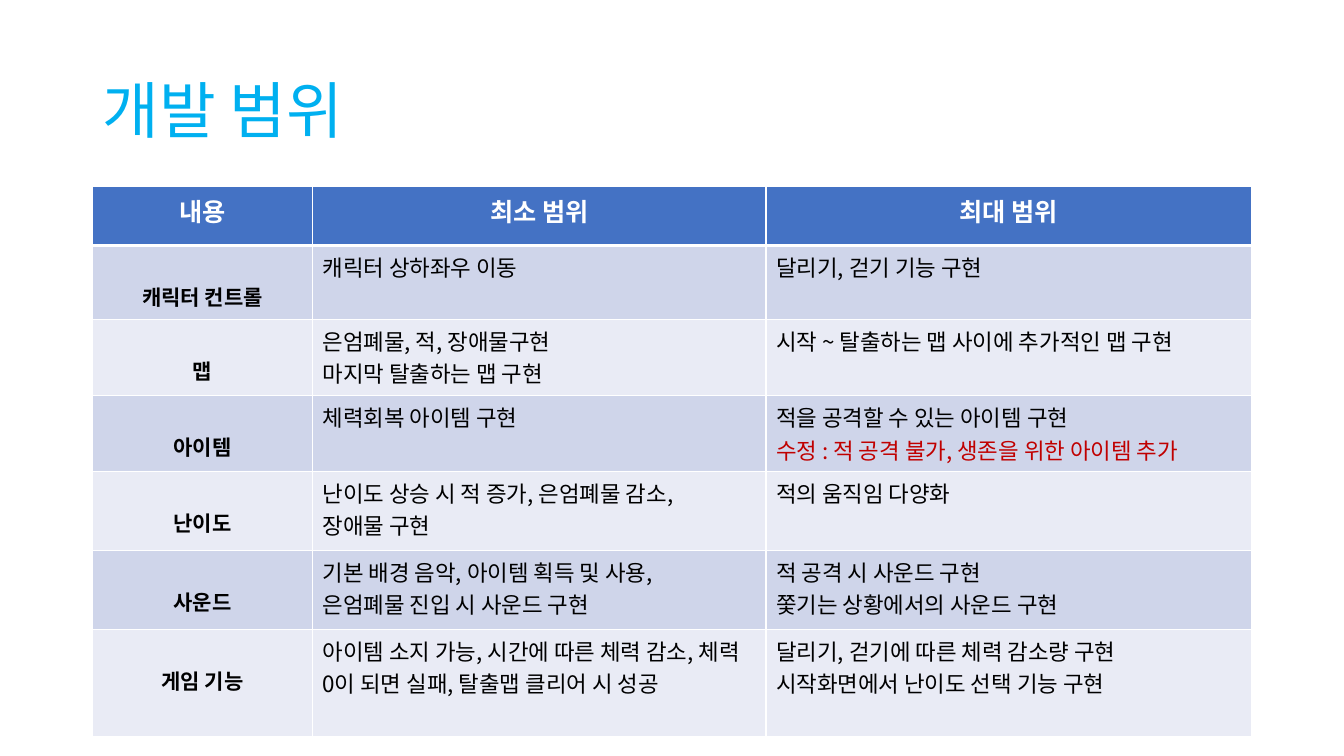
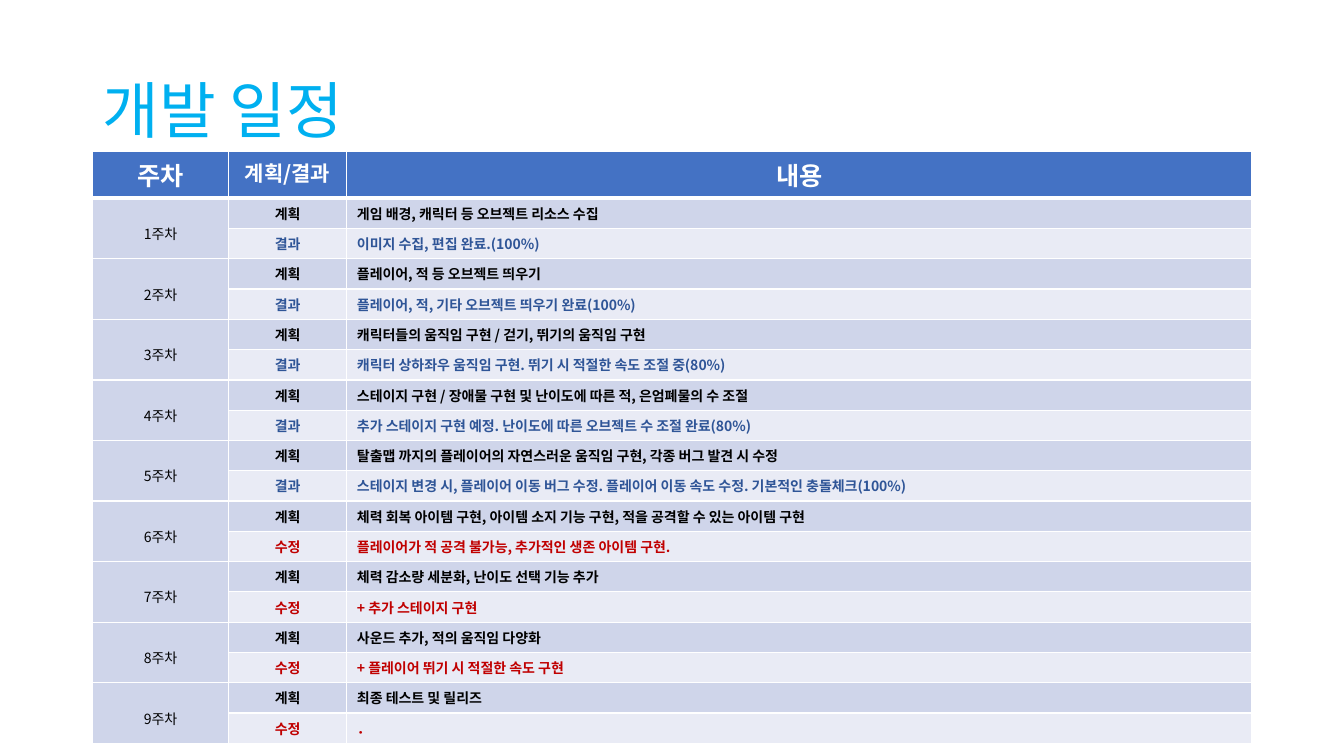
from dataclasses import dataclass

from lxml import etree
from pptx import Presentation
from pptx.dml.color import RGBColor
from pptx.enum.text import MSO_ANCHOR, MSO_AUTO_SIZE, PP_ALIGN
from pptx.oxml.ns import qn
from pptx.presentation import Presentation as Deck
from pptx.slide import Slide
from pptx.table import Table, _Cell
from pptx.text.text import _Paragraph
from pptx.util import Pt

LEFT, CENTER = PP_ALIGN.LEFT, PP_ALIGN.CENTER
MIDDLE, NO_FIT = MSO_ANCHOR.MIDDLE, MSO_AUTO_SIZE.NONE

FONT = "Noto Sans CJK KR"
SKY = RGBColor(0x00, 0xB0, 0xF0)
WHITE = RGBColor(0xFF, 0xFF, 0xFF)
BLACK = RGBColor(0x00, 0x00, 0x00)
BLUE = RGBColor(0x44, 0x72, 0xC4)
NAVY = RGBColor(0x2F, 0x55, 0x97)
RED = RGBColor(0xC0, 0x00, 0x00)
BAND_DARK = RGBColor(0xCF, 0xD5, 0xEA)
BAND_LIGHT = RGBColor(0xE9, 0xEB, 0xF5)
BANDS = (BAND_DARK, BAND_LIGHT)

TITLE_ONLY = 5
CONTENT_LEFT, CONTENT_WIDTH = 66.2, 828
THIN, THICK = 1, 3
NOTE_COLORS = {"계획": BLACK, "결과": NAVY, "수정": RED}


@dataclass(frozen=True)
class TextStyle:
    """Look of the text in one kind of cell."""

    size: float
    color: RGBColor = BLACK
    bold: bool = False
    align: PP_ALIGN = LEFT
    margin_top: float = 3.6


@dataclass(frozen=True)
class ScopeRow:
    """One feature with its minimum and maximum scope."""

    label: str
    minimum: tuple[str, ...]
    maximum: tuple[str, ...]
    height: float
    revision: str = ""


@dataclass(frozen=True)
class Week:
    """Plan of one week and the note that follows it."""

    plan: str
    note_kind: str
    note: str


HEADER = TextStyle(18, WHITE, True, CENTER)
HEADER_SMALL = TextStyle(15, WHITE, True, CENTER)
SCOPE_LABEL = TextStyle(15, BLACK, True, CENTER, 25.3)
SCOPE_BODY = TextStyle(16)
SCOPE_REVISION = TextStyle(16, RED)
WEEK_LABEL = TextStyle(10, BLACK, False, CENTER, 18)

SCOPE_HEADERS = ("내용", "최소 범위", "최대 범위")
SCOPE_ROWS = (
    ScopeRow("캐릭터 컨트롤", ("캐릭터 상하좌우 이동",), ("달리기, 걷기 기능 구현",), 52.8),
    ScopeRow(
        "맵",
        ("은엄폐물, 적, 장애물구현", "마지막 탈출하는 맵 구현"),
        ("시작 ~ 탈출하는 맵 사이에 추가적인 맵 구현",),
        54.6,
    ),
    ScopeRow(
        "아이템",
        ("체력회복 아이템 구현",),
        ("적을 공격할 수 있는 아이템 구현",),
        54,
        "수정 : 적 공격 불가, 생존을 위한 아이템 추가",
    ),
    ScopeRow(
        "난이도",
        ("난이도 상승 시 적 증가, 은엄폐물 감소,", "장애물 구현"),
        ("적의 움직임 다양화",),
        56.6,
    ),
    ScopeRow(
        "사운드",
        ("기본 배경 음악, 아이템 획득 및 사용,", "은엄폐물 진입 시 사운드 구현"),
        ("적 공격 시 사운드 구현", "쫓기는 상황에서의 사운드 구현"),
        56.2,
    ),
    ScopeRow(
        "게임 기능",
        ("아이템 소지 가능, 시간에 따른 체력 감소, 체력 0이 되면 실패, 탈출맵 클리어 시 성공",),
        ("달리기, 걷기에 따른 체력 감소량 구현", "시작화면에서 난이도 선택 기능 구현"),
        76.4,
    ),
)

WEEK_HEADERS = ("주차", "계획/결과", "내용")
WEEKS = (
    Week("게임 배경, 캐릭터 등 오브젝트 리소스 수집", "결과", "이미지 수집, 편집 완료.(100%)"),
    Week(
        "플레이어, 적 등 오브젝트 띄우기",
        "결과",
        "플레이어, 적, 기타 오브젝트 띄우기 완료(100%)",
    ),
    Week(
        "캐릭터들의 움직임 구현 / 걷기, 뛰기의 움직임 구현",
        "결과",
        "캐릭터 상하좌우 움직임 구현. 뛰기 시 적절한 속도 조절 중(80%)",
    ),
    Week(
        "스테이지 구현 / 장애물 구현 및 난이도에 따른 적, 은엄폐물의 수 조절",
        "결과",
        "추가 스테이지 구현 예정. 난이도에 따른 오브젝트 수 조절 완료(80%)",
    ),
    Week(
        "탈출맵 까지의 플레이어의 자연스러운 움직임 구현, 각종 버그 발견 시 수정",
        "결과",
        "스테이지 변경 시, 플레이어 이동 버그 수정. 플레이어 이동 속도 수정. 기본적인 충돌체크(100%)",
    ),
    Week(
        "체력 회복 아이템 구현, 아이템 소지 기능 구현, 적을 공격할 수 있는 아이템 구현",
        "수정",
        "플레이어가 적 공격 불가능, 추가적인 생존 아이템 구현.",
    ),
    Week("체력 감소량 세분화, 난이도 선택 기능 추가", "수정", "+ 추가 스테이지 구현"),
    Week("사운드 추가, 적의 움직임 다양화", "수정", "+ 플레이어 뛰기 시 적절한 속도 구현"),
    Week("최종 테스트 및 릴리즈", "수정", "．"),
)


def format_paragraph(para: _Paragraph, style: TextStyle) -> None:
    """Apply size, colour, weight, alignment and font to a paragraph."""
    para.alignment = style.align
    font = para.font
    font.size, font.bold, font.name = Pt(style.size), style.bold, FONT
    font.color.rgb = style.color
    properties = para._p.get_or_add_pPr().find(qn("a:defRPr"))
    etree.SubElement(properties, qn("a:ea"), typeface=FONT)


def add_titled_slide(deck: Deck, title: str) -> Slide:
    """Add a slide with the shared title style."""
    slide = deck.slides.add_slide(deck.slide_layouts[TITLE_ONLY])
    box = slide.shapes.title
    box.left, box.top = Pt(CONTENT_LEFT), Pt(28.8)
    box.width, box.height = Pt(CONTENT_WIDTH), Pt(104.4)
    frame = box.text_frame
    frame.text = title
    frame.vertical_anchor, frame.auto_size = MIDDLE, NO_FIT
    para = frame.paragraphs[0]
    para.line_spacing = 0.9
    format_paragraph(para, TextStyle(44, SKY))
    return slide


def add_grid(slide: Slide, top: float, widths: tuple[float, ...], heights: list[float]) -> Table:
    """Add a table with white rules and banded fills."""
    frame = slide.shapes.add_table(
        len(heights), len(widths), Pt(CONTENT_LEFT), Pt(top), Pt(sum(widths)), Pt(sum(heights))
    )
    table = frame.table
    for column, width in zip(table.columns, widths):
        column.width = Pt(width)
    for index, (row, height) in enumerate(zip(table.rows, heights)):
        row.height = Pt(height)
        for cell in row.cells:
            style_cell(cell, index)
    return table


def style_cell(cell: _Cell, row_index: int) -> None:
    """Draw the borders and the fill of a cell."""
    rules = {
        "a:lnL": THIN,
        "a:lnR": THIN,
        "a:lnT": THICK if row_index == 1 else THIN,
        "a:lnB": THICK if row_index == 0 else THIN,
    }
    properties = cell._tc.get_or_add_tcPr()
    for tag, width in rules.items():
        line = etree.SubElement(properties, qn(tag), w=str(int(Pt(width))))
        fill = etree.SubElement(line, qn("a:solidFill"))
        etree.SubElement(fill, qn("a:srgbClr"), val=str(WHITE))
    cell.fill.solid()
    cell.fill.fore_color.rgb = BANDS[(row_index - 1) % 2] if row_index else BLUE


def write_cell(cell: _Cell, style: TextStyle, *lines: str) -> None:
    """Write one paragraph a line into a cell."""
    cell.margin_top = Pt(style.margin_top)
    cell.text_frame.text = "\n".join(lines)
    for para in cell.text_frame.paragraphs:
        format_paragraph(para, style)


def build_scope_slide(deck: Deck) -> None:
    """Build the slide on the scope of development."""
    slide = add_titled_slide(deck, "개발 범위")
    heights = [42, *(row.height for row in SCOPE_ROWS)]
    table = add_grid(slide, 133.4, (157, 324, 347), heights)
    for column, header in enumerate(SCOPE_HEADERS):
        write_cell(table.cell(0, column), HEADER, header)
    for index, row in enumerate(SCOPE_ROWS, start=1):
        write_cell(table.cell(index, 0), SCOPE_LABEL, row.label)
        write_cell(table.cell(index, 1), SCOPE_BODY, *row.minimum)
        maximum_cell = table.cell(index, 2)
        write_cell(maximum_cell, SCOPE_BODY, *row.maximum)
        if row.revision:
            para = maximum_cell.text_frame.add_paragraph()
            para.text = row.revision
            format_paragraph(para, SCOPE_REVISION)


def build_schedule_slide(deck: Deck) -> None:
    """Build the slide on the weekly schedule."""
    slide = add_titled_slide(deck, "개발 일정")
    heights = [33, *[21.6] * (2 * len(WEEKS))]
    table = add_grid(slide, 108.3, (97, 84.6, 646.4), heights)
    for column, header in enumerate(WEEK_HEADERS):
        write_cell(table.cell(0, column), HEADER_SMALL if column == 1 else HEADER, header)
    for index, week in enumerate(WEEKS):
        first = 2 * index + 1
        week_cell = table.cell(first, 0)
        week_cell.merge(table.cell(first + 1, 0))
        write_cell(week_cell, WEEK_LABEL, f"{index + 1}주차")
        entries = (("계획", week.plan), (week.note_kind, week.note))
        for row, (kind, content) in enumerate(entries, start=first):
            color = NOTE_COLORS[kind]
            write_cell(table.cell(row, 1), TextStyle(10, color, True, CENTER), kind)
            write_cell(table.cell(row, 2), TextStyle(10, color, True), content)


def main() -> None:
    """Build and save the deck."""
    deck = Presentation()
    deck.slide_width, deck.slide_height = Pt(960), Pt(540)
    build_scope_slide(deck)
    build_schedule_slide(deck)
    deck.save("out.pptx")


if __name__ == "__main__":
    main()
